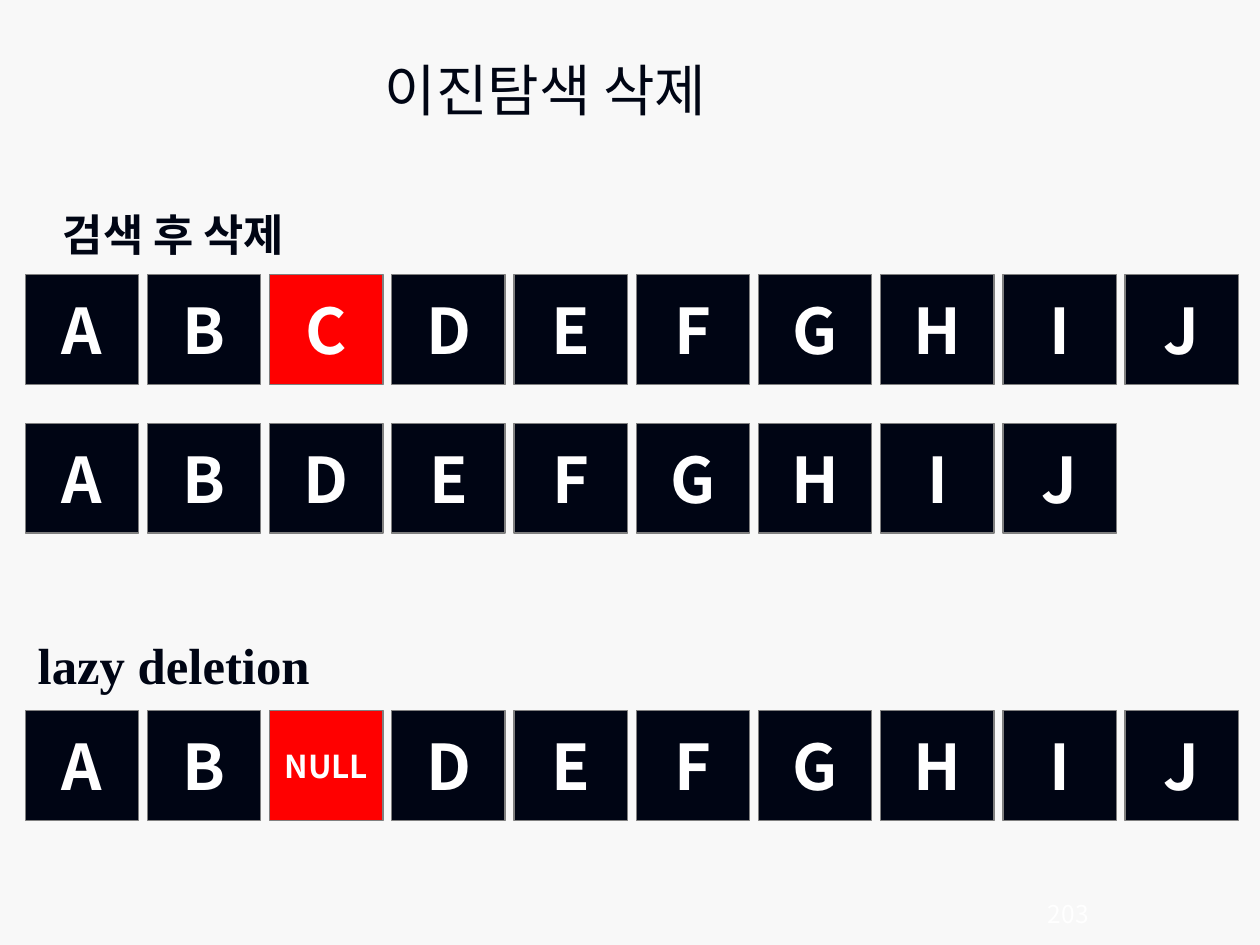
"""Build a slide on deleting an item from a sorted array."""
from pptx import Presentation
from pptx.dml.color import RGBColor
from pptx.enum.shapes import MSO_SHAPE
from pptx.enum.text import MSO_ANCHOR, PP_ALIGN
from pptx.util import Inches, Pt

RECT = MSO_SHAPE.RECTANGLE
MIDDLE = MSO_ANCHOR.MIDDLE
CENTER = PP_ALIGN.CENTER

INK = {"dark": "000514", "hit": "FF0000", "edge": "808080",
       "white": "FFFFFF", "back": "F8F8F8"}
SANS, SERIF = "Noto Sans CJK KR", "Times New Roman"
LEFT, STEP, WIDE, TALL = 0.2, 0.97, 0.9, 0.87

ROWS = [
    (2.18, "A B C D E F G H I J".split(), "C"),
    (3.36, "A B D E F G H I J".split(), None),
    (5.64, "A B NULL D E F G H I J".split(), "NULL"),
]
LABELS = [
    ("이진탐색 삭제", (0.51, 0.36, 7.64, 0.69), 32, SANS, "dark", False),
    ("lazy deletion", (0.19, 4.98, 2.38, 0.59), 29, SERIF, "dark", True),
    ("검색 후 삭제", (0.33, 1.6, 2.09, 0.52), 25, SERIF, "dark", True),
    ("203", (8.08, 7.08, 0.8, 0.34), 14, SANS, "white", False),
]


def color(name):
    return RGBColor.from_string(INK[name])


def write(shape, text, size, face, ink, bold):
    frame = shape.text_frame
    frame.word_wrap = False
    frame.vertical_anchor = MIDDLE
    para = frame.paragraphs[0]
    para.text = text
    para.alignment = CENTER
    font = para.font
    font.size, font.name, font.bold = Pt(size), face, bold
    font.color.rgb = color(ink)


def add_cell(slide, col, top, text, hit):
    box = slide.shapes.add_shape(
        RECT, *map(Inches, (LEFT + col * STEP, top, WIDE, TALL)))
    box.shadow.inherit = False
    box.fill.solid()
    box.fill.fore_color.rgb = color("hit" if hit else "dark")
    box.line.color.rgb = color("edge")
    box.line.width = Pt(0.75)
    write(box, text, 36 if len(text) == 1 else 18, SANS, "white", True)


def main():
    deck = Presentation()
    deck.slide_width, deck.slide_height = Inches(10), Inches(7.5)
    slide = deck.slides.add_slide(deck.slide_layouts[6])
    slide.background.fill.solid()
    slide.background.fill.fore_color.rgb = color("back")
    for top, items, gone in ROWS:
        for col, item in enumerate(items):
            add_cell(slide, col, top, item, item == gone)
    for text, place, *style in LABELS:
        write(slide.shapes.add_textbox(*map(Inches, place)), text, *style)
    deck.save("out.pptx")


if __name__ == "__main__":
    main()
